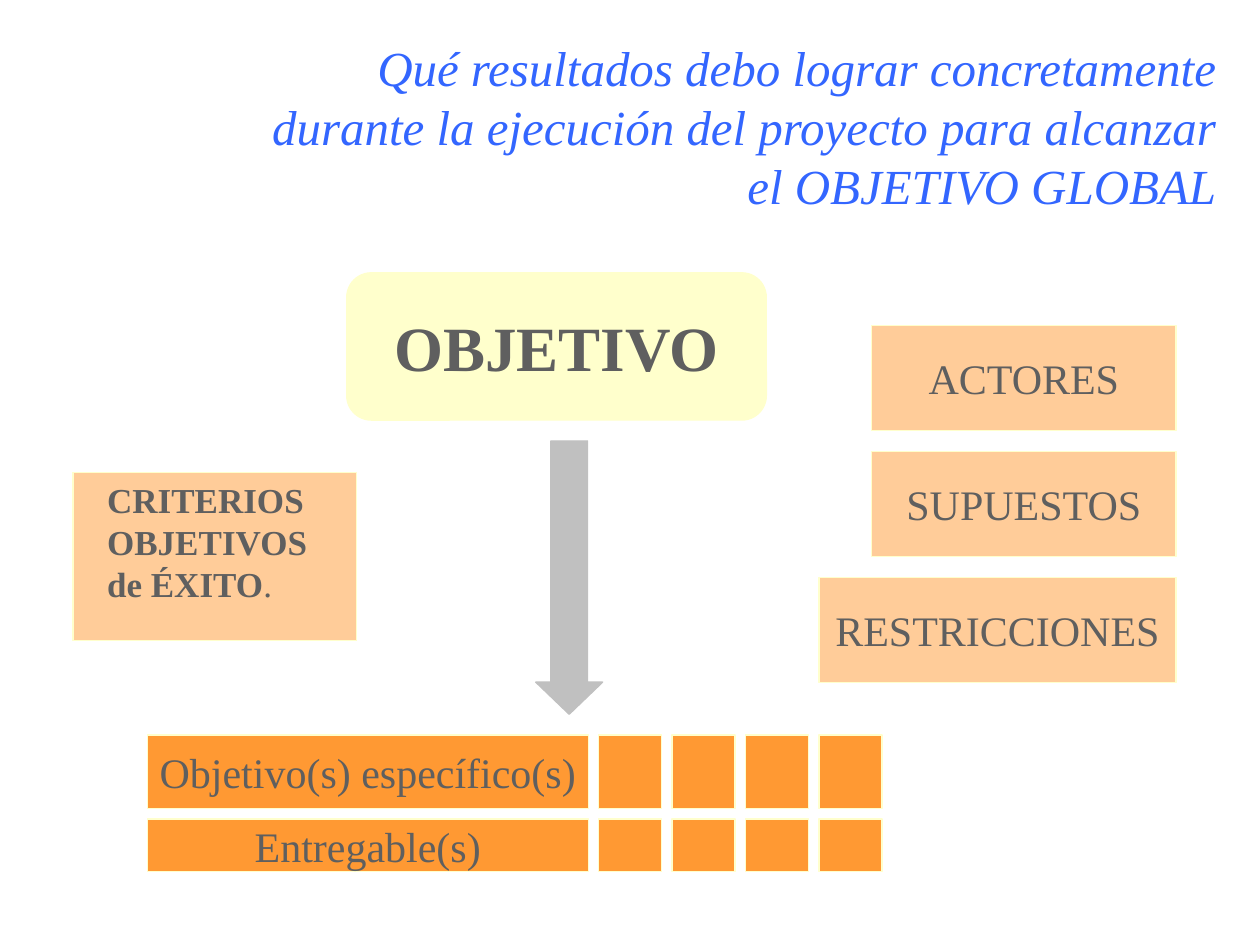
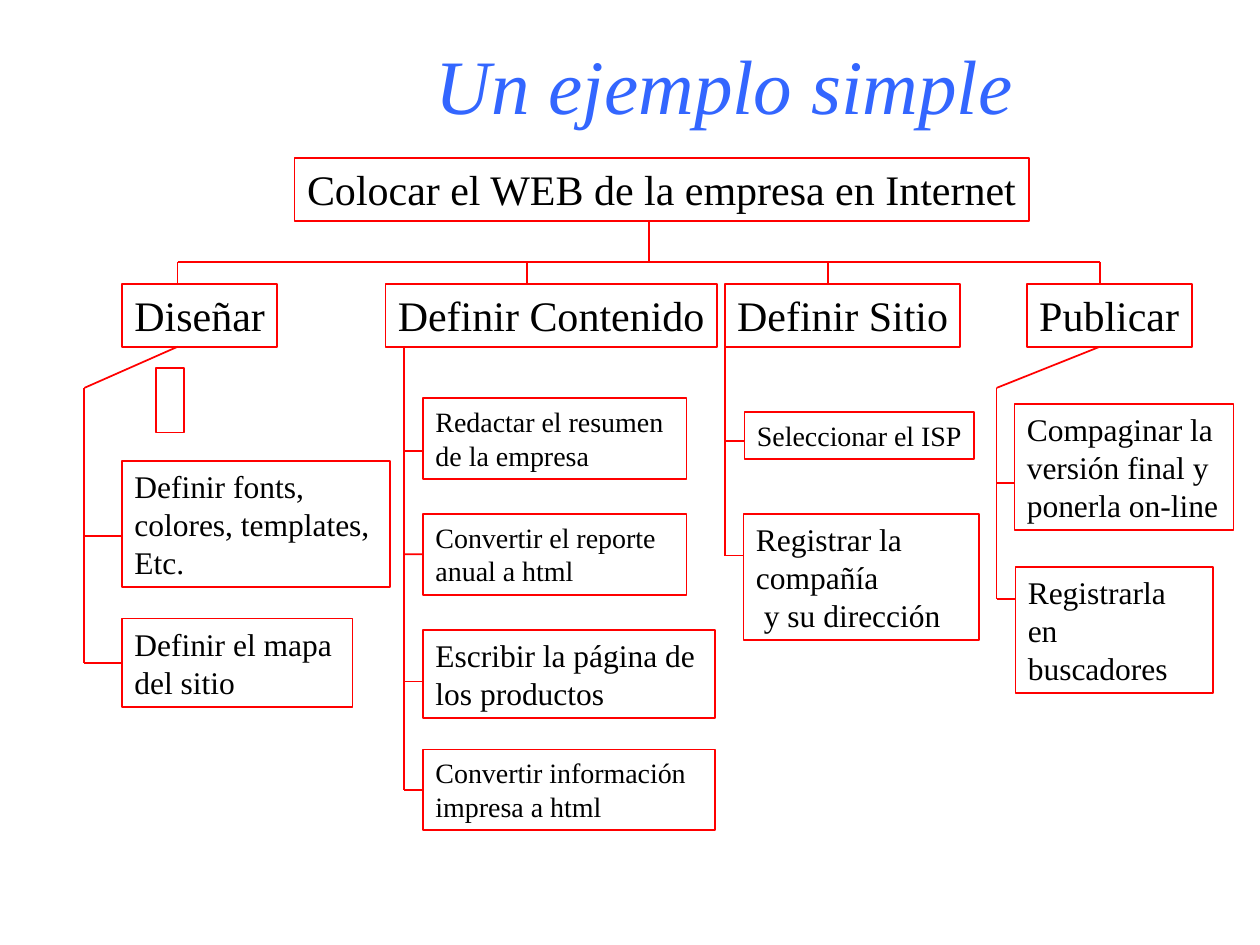
from collections import namedtuple

import pptx
import pptx.dml.color
import pptx.enum.shapes
import pptx.enum.text
import pptx.util
from lxml import etree
from pptx.oxml.ns import qn

Cm = pptx.util.Cm
Pt = pptx.util.Pt
KIND = pptx.enum.shapes.MSO_SHAPE
ALIGN = pptx.enum.text.PP_ALIGN
ANCHOR = pptx.enum.text.MSO_ANCHOR
SIZING = pptx.enum.text.MSO_AUTO_SIZE

FONT = "Times New Roman"
HEX = {
    "title": "3366FF",
    "grey": "5F5F5F",
    "cream": "FFFFCC",
    "peach": "FFCC99",
    "orange": "FF9933",
    "silver": "C0C0C0",
    "red": "FF0000",
    "black": "000000",
}

HEAD_TOP, HEAD_TALL = 5.72, 1.27
HEAD_END = HEAD_TOP + HEAD_TALL
BUS_Y = 5.28
BEND_Y = 7.82

# tick: height at which the rail's short line meets the task, None = middle
Task = namedtuple("Task", "left top width height tick size wrap lines")
# drop: where the line from the bus meets the head
Branch = namedtuple("Branch", "name left width drop rail bent tasks")

BRANCHES = [
    Branch("Diseñar", 2.46, 3.12, 3.58, 1.7, True, [
        Task(2.46, 9.3, 5.41, 2.54, 10.8, 18, True,
             ["Definir fonts,", "colores, templates,", "Etc."]),
        Task(2.46, 12.47, 4.65, 1.78, None, 18, True,
             ["Definir el mapa", "del sitio"]),
    ]),
    Branch("Definir Contenido", 7.77, 6.68, 10.62, 8.15, False, [
        Task(8.53, 8.03, 5.31, 1.63, 9.09, 16, True,
             ["Redactar el resumen", "de la empresa"]),
        Task(8.53, 10.36, 5.31, 1.63, None, 16, True,
             ["Convertir el reporte anual a html"]),
        Task(8.53, 12.7, 5.89, 1.78, 13.74, 18, True,
             ["Escribir la página de", "los productos"]),
        Task(8.53, 15.11, 5.89, 1.63, None, 16, True,
             ["Convertir información", "impresa a html"]),
    ]),
    Branch("Definir Sitio", 14.61, 4.75, 16.69, 14.61, False, [
        Task(15.01, 8.31, 4.62, 0.94, 8.89, 16, False, ["Seleccionar el ISP"]),
        Task(14.99, 10.36, 4.75, 2.54, 11.2, 18, True,
             ["Registrar la compañía", "y su dirección"]),
    ]),
    Branch("Publicar", 20.7, 3.33, 22.17, 20.09, True, [
        Task(20.45, 8.15, 4.42, 2.54, 9.73, 18, True,
             ["Compaginar la", "versión final y", "ponerla on-line"]),
        Task(20.47, 11.43, 3.99, 2.54, 12.07, 18, True,
             ["Registrarla", "en buscadores"]),
    ]),
]


def rgb(name):
    return pptx.dml.color.RGBColor.from_string(HEX[name])


def style(font, size, color, bold=False):
    font.name, font.size, font.bold = FONT, Pt(size), bold
    font.color.rgb = rgb(color)


def write(shape, lines, size, color, bold=False, align=ALIGN.LEFT,
          anchor=ANCHOR.TOP, wrap=False):
    frame = shape.text_frame
    frame.text = "\n".join(lines)
    frame.word_wrap = wrap
    frame.vertical_anchor = anchor
    frame.auto_size = SIZING.NONE
    for par in frame.paragraphs:
        par.alignment = align
        style(par.font, size, color, bold)


def add_page(deck, title, box, size, align):
    """Add a slide with the shared title style."""
    page = deck.slides.add_slide(deck.slide_layouts[5])
    head = page.shapes.title
    head.left, head.top, head.width, head.height = map(Cm, box)
    write(head, [title], size, "title", align=align,
          anchor=ANCHOR.BOTTOM, wrap=True)
    head.text_frame.paragraphs[0].font.italic = True
    return page


def add_box(page, box, fill, line, weight=0.75, kind=KIND.RECTANGLE):
    """Add a preset shape; fill None leaves it hollow."""
    shape = page.shapes.add_shape(kind, *map(Cm, box))
    shape.shadow.inherit = False
    if fill:
        shape.fill.solid()
        shape.fill.fore_color.rgb = rgb(fill)
    else:
        shape.fill.background()
    shape.line.color.rgb = rgb(line)
    shape.line.width = Pt(weight)
    return shape


def add_label(page, box, fill, text, size=24, bold=False, kind=KIND.RECTANGLE):
    """Add a filled shape with one centred line."""
    shape = add_box(page, box, fill, "cream", kind=kind)
    write(shape, [text], size, "grey", bold, ALIGN.CENTER, ANCHOR.MIDDLE)


def add_node(page, box, lines, size=24, wrap=False):
    """Add a hollow red box of the tree."""
    node = add_box(page, box, None, "red", 1)
    write(node, lines, size, "black", wrap=wrap)
    return node


def add_line(page, start, end):
    line = page.shapes.add_connector(
        pptx.enum.shapes.MSO_CONNECTOR.STRAIGHT, *map(Cm, (*start, *end)))
    line.line.color.rgb = rgb("red")
    line.line.width = Pt(1)
    etree.SubElement(line._element.spPr, qn("a:effectLst"))
    return line


def tick_y(task):
    return task.tick or task.top + task.height / 2


def add_branch(page, branch):
    """Add a head with its rail and tasks; return the task boxes."""
    add_node(page, (branch.left, HEAD_TOP, branch.width, HEAD_TALL),
             [branch.name])
    add_line(page, (branch.drop, BUS_Y), (branch.drop, HEAD_TOP))
    top = BEND_Y if branch.bent else HEAD_END
    if branch.bent:
        add_line(page, (branch.drop, HEAD_END), (branch.rail, top))
    add_line(page, (branch.rail, top), (branch.rail, tick_y(branch.tasks[-1])))
    nodes = []
    for task in branch.tasks:
        node = add_node(page, task[:4], task.lines, task.size, task.wrap)
        y = tick_y(task)
        tick = add_line(page, (branch.rail, y), (task.left, y))
        if task.tick is None:
            tick.end_connect(node, 1)
        nodes.append(node)
    return nodes


def add_goal(deck):
    page = add_page(
        deck,
        "Qué resultados debo lograr concretamente durante la ejecución "
        "del proyecto para alcanzar el OBJETIVO GLOBAL",
        (4.45, 1.27, 20.32, 3.18), 28, ALIGN.RIGHT)
    add_label(page, (6.99, 5.5, 8.46, 2.97), "cream", "OBJETIVO", 36, True,
              KIND.ROUNDED_RECTANGLE)

    add_box(page, (1.47, 9.53, 5.72, 3.39), "peach", "cream")
    note = page.shapes.add_textbox(*map(Cm, (1.91, 9.53, 4.72, 2.79)))
    write(note, ["CRITERIOS", "OBJETIVOS", "de ÉXITO"], 20, "grey", True,
          wrap=True)
    last = note.text_frame.paragraphs[-1]
    last.add_run().text = "."
    for run, bold in zip(last.runs, (True, False)):
        style(run.font, 20, "grey", bold)

    right = 23.71
    sides = [("ACTORES", 6.14), ("SUPUESTOS", 6.14), ("RESTRICCIONES", 7.2)]
    for i, (text, width) in enumerate(sides):
        add_label(page, (right - width, 6.56 + 2.54 * i, width, 2.12),
                  "peach", text)

    rows = [("Objetivo(s) específico(s)", 14.82, 1.48),
            ("Entregable(s)", 16.51, 1.06)]
    for text, top, height in rows:
        add_label(page, (2.97, top, 8.89, height), "orange", text)
        for i in range(4):
            add_box(page, (12.07 + 1.48 * i, top, 1.27, height),
                    "orange", "cream")

    arrow = add_box(page, (10.8, 8.89, 1.35, 5.51), "silver", "silver",
                    kind=KIND.DOWN_ARROW)
    arrow.adjustments[0], arrow.adjustments[1] = 0.55, 0.48


def add_tree(deck):
    page = add_page(deck, "Un ejemplo simple", (3.81, 0.64, 21.59, 2.11),
                    44, ALIGN.CENTER)
    add_node(page, (5.94, 3.18, 14.81, 1.27),
             ["Colocar el WEB de la empresa en Internet"])
    add_box(page, (3.15, 7.42, 0.56, 1.3), None, "red", 1)
    add_line(page, (13.08, 4.45), (13.08, BUS_Y))
    add_line(page, (BRANCHES[0].drop, BUS_Y), (BRANCHES[-1].drop, BUS_Y))
    nodes = [add_branch(page, branch) for branch in BRANCHES]
    inset = nodes[2][1].text_frame.paragraphs[-1]
    inset._p.get_or_add_pPr().set("marL", str(Cm(0.16)))


def main():
    deck = pptx.Presentation()
    deck.slide_width, deck.slide_height = Cm(25.4), Cm(19.05)
    add_goal(deck)
    add_tree(deck)
    deck.save("out.pptx")


if __name__ == "__main__":
    main()
